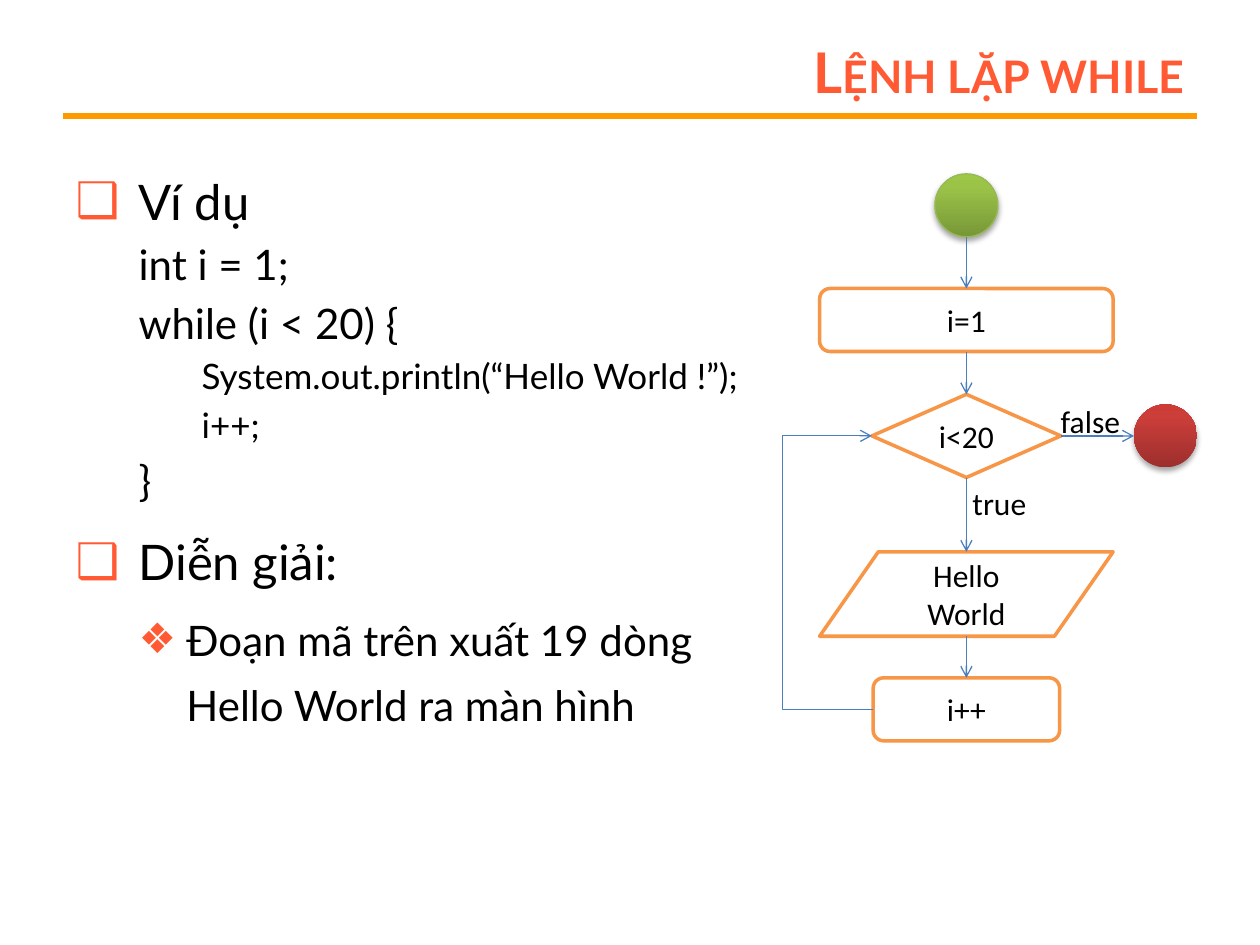
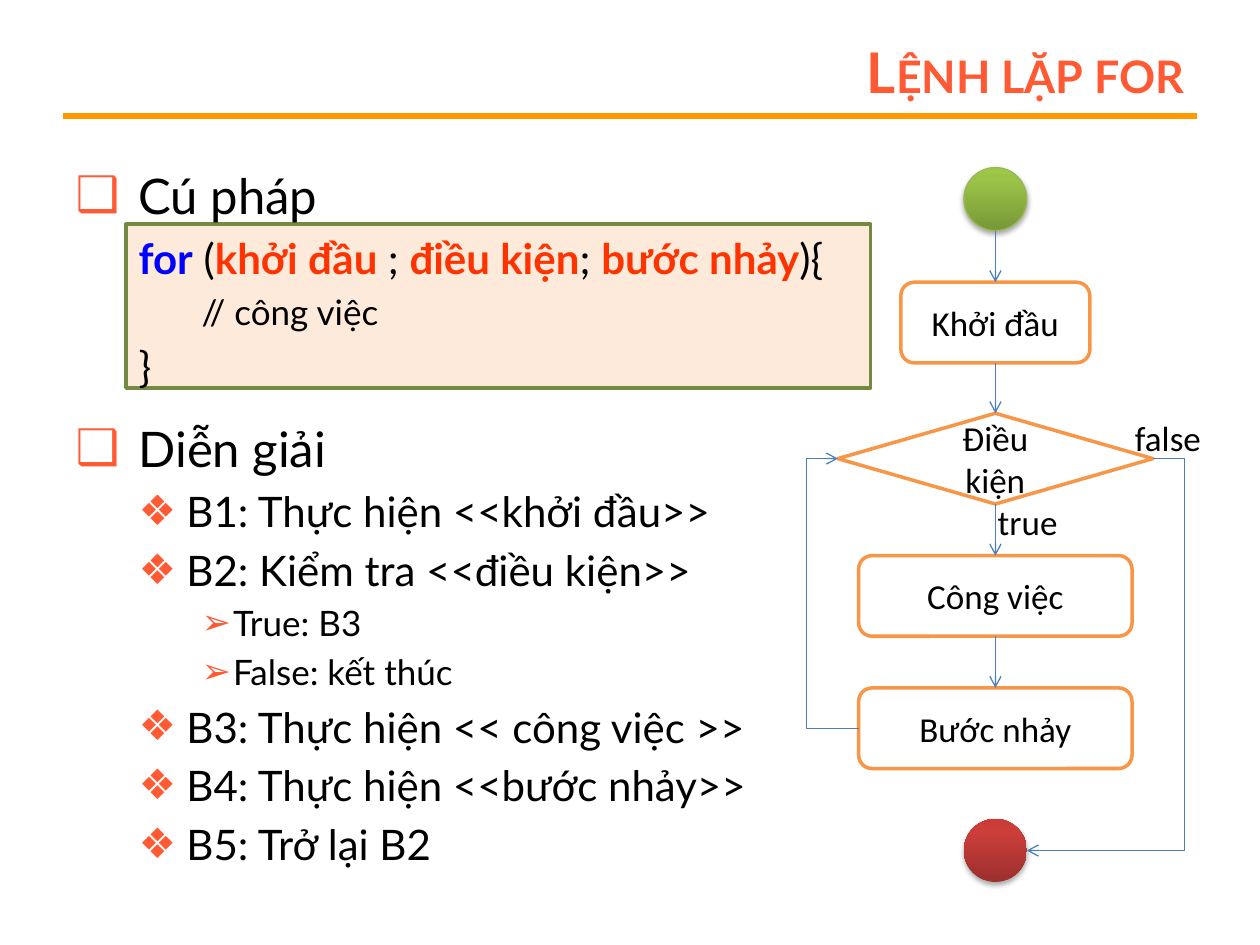
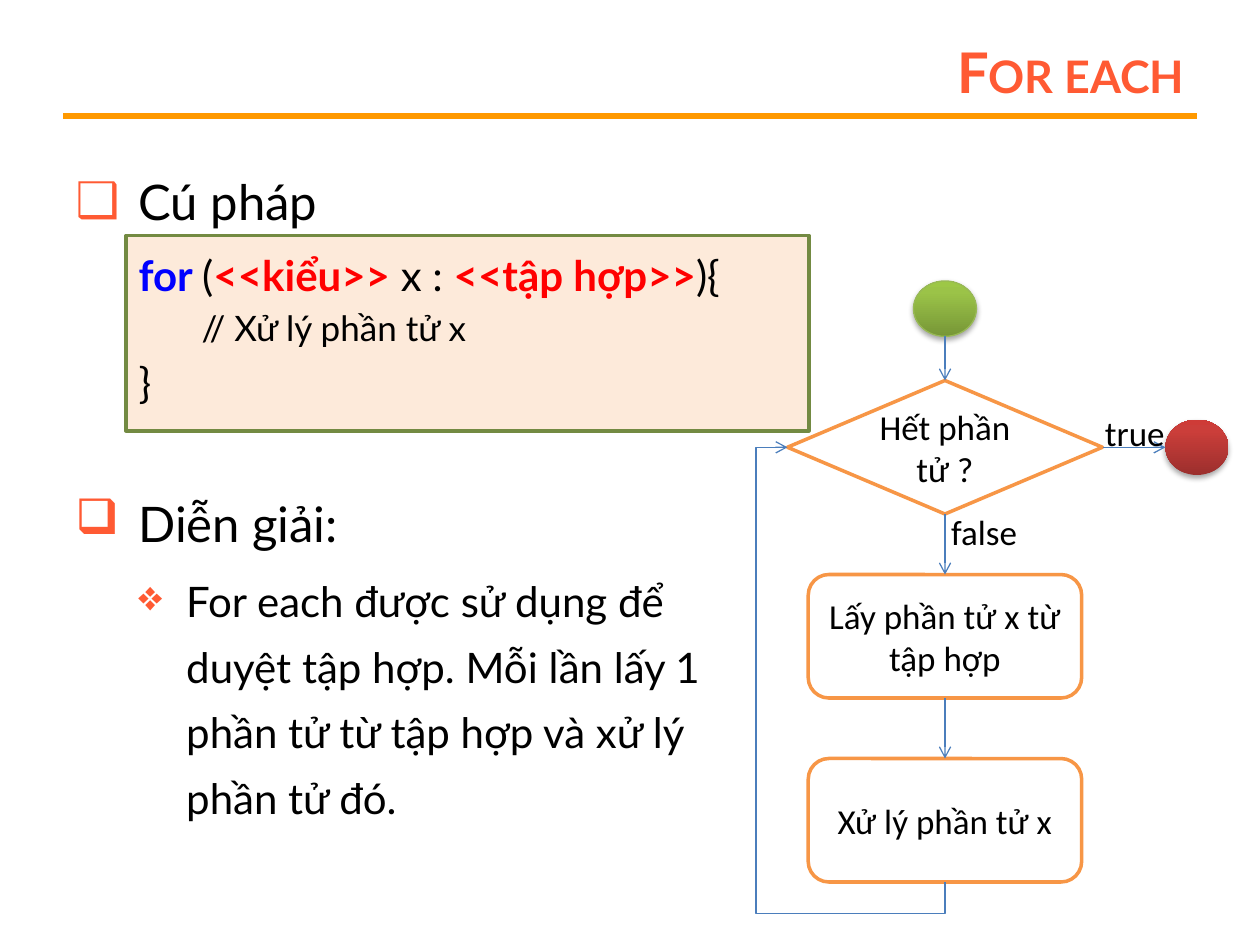
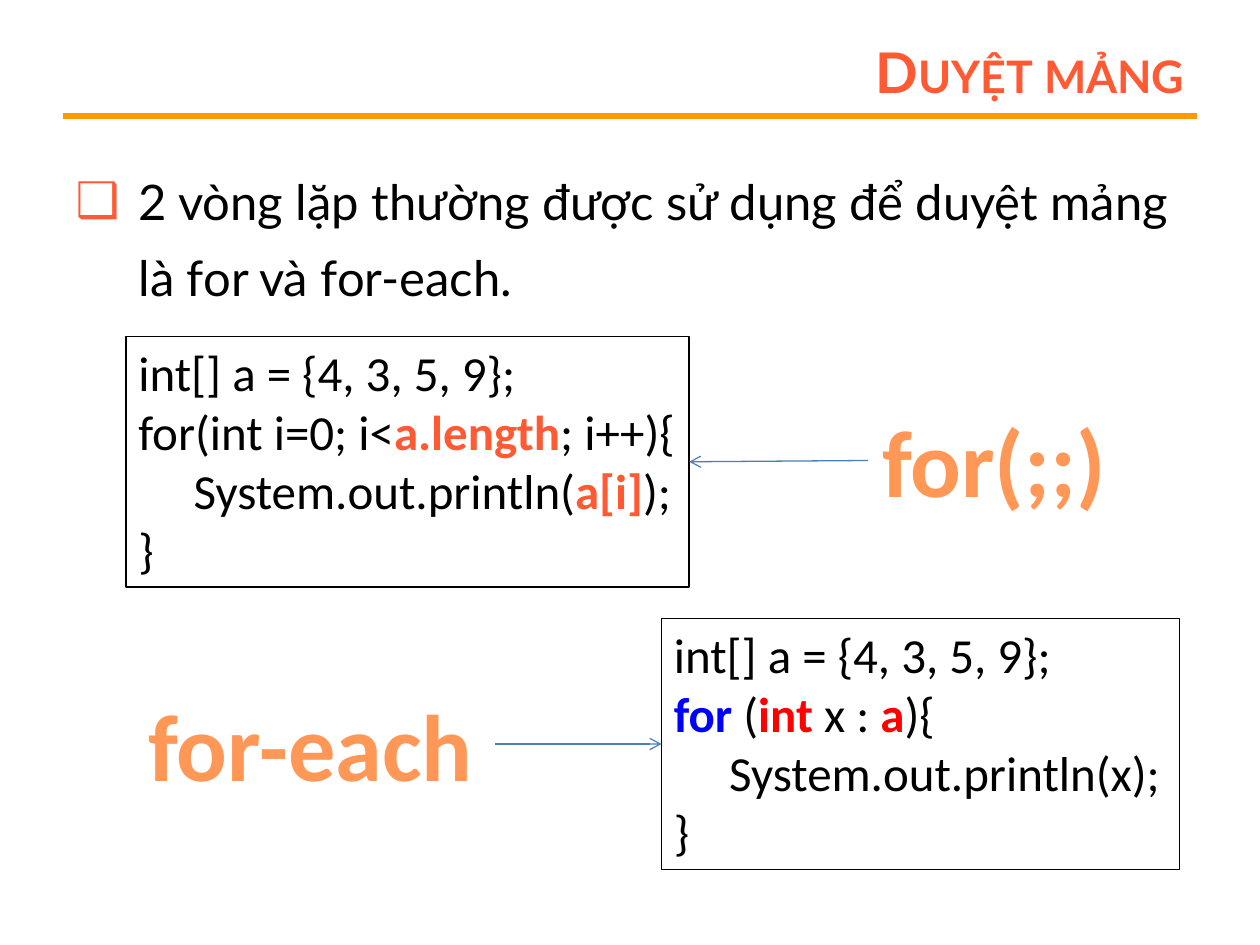
from lxml import etree
from pptx import Presentation
from pptx import util as u
from pptx.dml.color import RGBColor
from pptx.enum import shapes, text
from pptx.oxml.ns import qn

BLACK, WHITE = "000000", "FFFFFF"
CORAL, AMBER, ORANGE = "FF5A33", "FF9900", "F79646"
ARROW_BLUE, KEYWORD, RED, VERMILION = "4B7EBC", "0000FF", "FF0000", "FF3300"
PANEL_FILL, PANEL_LINE = "FDEADA", "738A42"
GREEN_BALL = [(0, "779737"), (80, "9BC348"), (100, "9DC746")]
RED_BALL = [(0, "9C2F2D"), (80, "CB3E3A"), (100, "CE3B37")]
CAPTION_BLEND = [(0, "9D4700"), (78, "FF9856"), (100, "FFF5F1")]

SHAPE = shapes.MSO_SHAPE
BOX, DIAMOND, DATA = SHAPE.ROUNDED_RECTANGLE, SHAPE.FLOWCHART_DECISION, SHAPE.FLOWCHART_DATA
TOP, LEFT, BOTTOM, RIGHT = range(4)

# Paragraph styles: level, size, left margin, first-line indent, bullet
STYLES = {
    "topic": (0, 28, 0.5, -0.5, "❑"),
    "code": (1, 24, 0.5, 0, None),
    "inner": (2, 20, 1, 0, None),
    "step": (1, 24, 0.88, -0.38, "❖"),
    "branch": (2, 20, 1.25, -0.25, "➢"),
}


def rgb(value):
    return RGBColor.from_string(value)


def place(item, left, top, width, height):
    item.left, item.top = u.Inches(left), u.Inches(top)
    item.width, item.height = u.Inches(width), u.Inches(height)


def child(parent, tag, **attributes):
    return etree.SubElement(parent, qn(tag), attributes)


def gradient(stops, angle):
    fill = etree.Element(qn("a:gradFill"))
    stop_list = child(fill, "a:gsLst")
    for position, colour in stops:
        stop = child(stop_list, "a:gs", pos=str(position * 1000))
        child(stop, "a:srgbClr", val=colour)
    child(fill, "a:lin", ang=str(angle * 60000), scaled="0")
    return fill


# Text
def add_span(para, words, size, colour=BLACK, bold=False, font="Lato"):
    span = para.add_run()
    span.text = words
    span.font.name, span.font.size, span.font.bold = font, u.Pt(size), bold
    span.font.color.rgb = rgb(colour)
    return span


def add_spans(para, spans, size, font="Lato"):
    """Write plain strings in black and (words, colour) pairs in bold colour."""
    for span in [spans] if isinstance(spans, str) else spans:
        if isinstance(span, str):
            add_span(para, span, size, font=font)
        else:
            add_span(para, span[0], size, span[1], True, font)


def add_item(frame, style, spans, spacing=1.0, after=0):
    level, size, margin, indent, bullet = STYLES[style]
    first = not frame.paragraphs[0].runs
    para = frame.paragraphs[0] if first else frame.add_paragraph()
    para.level, para.line_spacing = level, spacing
    para.space_before = u.Pt(0 if first else size * 0.2)
    para.space_after = u.Pt(after)
    props = para._p.get_or_add_pPr()
    props.set("marL", str(u.Inches(margin)))
    props.set("indent", str(u.Inches(indent)))
    if bullet:
        child(child(props, "a:buClr"), "a:srgbClr", val=CORAL)
        child(props, "a:buChar", char=bullet)
    else:
        child(props, "a:buNone")
    add_spans(para, spans, size)


def add_label(page, words, left, top, width, height, size):
    label = page.shapes.add_textbox(*map(u.Inches, (left, top, width, height)))
    label.text_frame.word_wrap = False
    label.text_frame.auto_size = text.MSO_AUTO_SIZE.SHAPE_TO_FIT_TEXT
    add_span(label.text_frame.paragraphs[0], words, size, font="Calibri")
    return label


def add_caption(page, words, left, top, width):
    caption = add_label(page, words, left, top, width, 1.01, 54)
    para = caption.text_frame.paragraphs[0]
    para.alignment = text.PP_ALIGN.CENTER
    span = para.runs[0]
    span.font.bold = True
    span.font.fill.background()
    props = span.font._element
    props.replace(props.find(qn("a:noFill")), gradient(CAPTION_BLEND, 90))
    return caption


# Shapes
def add_box(page, kind, left, top, width, height, fill, line, weight):
    box = page.shapes.add_shape(kind, *map(u.Inches, (left, top, width, height)))
    box.shadow.inherit = False
    if fill:
        box.fill.solid()
        box.fill.fore_color.rgb = rgb(fill)
    else:
        box.fill.background()
    box.line.color.rgb = rgb(line)
    box.line.width = u.Pt(weight)
    return box


def add_node(page, kind, centre, top, width, height, words, size):
    node = add_box(page, kind, centre - width / 2, top, width, height, WHITE, ORANGE, 2)
    para = node.text_frame.paragraphs[0]
    para.alignment = text.PP_ALIGN.CENTER
    add_span(para, words, size, font="Calibri")
    return node


def add_ball(page, stops, centre, top, height=0.5, outline=None):
    ball = page.shapes.add_shape(
        SHAPE.OVAL, *map(u.Inches, (centre - 0.25, top, 0.5, height)))
    ball.shadow.inherit = False
    if outline:
        ball.line.color.rgb = rgb(outline)
        ball.line.width = u.Pt(0.75)
    else:
        ball.line.fill.background()
    props = ball.element.spPr
    props.find(qn("a:prstGeom")).addnext(gradient(stops, 270))
    shadow = child(props.find(qn("a:effectLst")), "a:outerShdw", blurRad="40000",
                   dist="23000", dir="5400000", rotWithShape="0")
    child(child(shadow, "a:srgbClr", val=BLACK), "a:alpha", val="35000")
    return ball


def add_start(page, centre, top, height=0.5):
    return add_ball(page, GREEN_BALL, centre, top, height, "98B955")


def add_end(page, centre, top, height=0.5):
    return add_ball(page, RED_BALL, centre, top, height)


def add_panel(page, top, width, height):
    """Tinted code panel, kept behind the list."""
    panel = add_box(page, SHAPE.RECTANGLE, 1, top, width, height, PANEL_FILL, PANEL_LINE, 2)
    page.shapes.element.insert(2, panel.element)


def add_listing(page, left, top, width, fill, lines):
    listing = add_box(page, SHAPE.RECTANGLE, left, top, width, 1.99, fill, BLACK, 0.75)
    frame = listing.text_frame
    frame.word_wrap = False
    frame.auto_size = text.MSO_AUTO_SIZE.SHAPE_TO_FIT_TEXT
    frame.vertical_anchor = text.MSO_ANCHOR.TOP
    for number, spans in enumerate(lines):
        para = frame.add_paragraph() if number else frame.paragraphs[0]
        para.alignment = text.PP_ALIGN.LEFT
        add_spans(para, spans, 28, "Calibri")
    return listing


# Connectors
def side_point(box, side):
    return (int(box.left + box.width * (0.5, 0, 0.5, 1)[side]),
            int(box.top + box.height * (0, 0.5, 1, 0.5)[side]))


def join(line, is_start, box, side):
    kind = None if box.shape_type == shapes.MSO_SHAPE_TYPE.TEXT_BOX else box.auto_shape_type
    if kind == SHAPE.OVAL:  # an oval has eight sites, two per side
        child(line.element.nvCxnSpPr.cNvCxnSpPr, "a:stCxn" if is_start else "a:endCxn",
              id=str(box.shape_id), idx=str(side * 2))
    elif kind != DATA:
        (line.begin_connect if is_start else line.end_connect)(box, side)


def style_line(line, colour, weight):
    line.line.color.rgb = rgb(colour)
    line.line.width = u.Pt(weight)
    child(line.element.spPr, "a:effectLst")


def add_arrow(page, start, end, kind=shapes.MSO_CONNECTOR.STRAIGHT):
    """Join (box, side) to (box, side)."""
    line = page.shapes.add_connector(kind, *side_point(*start), *side_point(*end))
    join(line, True, *start)
    join(line, False, *end)
    style_line(line, ARROW_BLUE, 0.75)
    child(line.element.spPr.find(qn("a:ln")), "a:tailEnd", type="arrow")
    return line


def set_bends(line, *bends):
    guides = line.element.spPr.find(qn("a:prstGeom")).find(qn("a:avLst"))
    for number, bend in enumerate(bends, 1):
        child(guides, "a:gd", name=f"adj{number}", fmla=f"val {round(bend * 100000)}")


def add_elbow(page, start, end, via):
    """Three-part arrow whose middle part runs at x = via."""
    line = add_arrow(page, start, end, shapes.MSO_CONNECTOR.ELBOW)
    set_bends(line, (u.Inches(via) - line.begin_x) / (line.end_x - line.begin_x))


def add_loop_back(page, start, end, drop):
    """Four-part arrow: down from the start, left, up, and right into the end."""
    line = add_arrow(page, start, end, shapes.MSO_CONNECTOR.ELBOW)
    across, rise = line.width, line.height
    centre_x, centre_y = line.left + across // 2, line.top + rise // 2
    line.left, line.top = centre_x - rise // 2, centre_y - across // 2
    line.width, line.height = rise, across
    frame = line.element.spPr.find(qn("a:xfrm"))
    for name, value in (("rot", "5400000"), ("flipH", "1"), ("flipV", "0")):
        frame.set(name, value)
    line.element.spPr.find(qn("a:prstGeom")).set("prst", "bentConnector4")
    set_bends(line, -u.Inches(drop) / rise, 1 + u.Inches(drop) / across)


def add_chain(page, *nodes):
    for upper, lower in zip(nodes, nodes[1:]):
        add_arrow(page, (upper, BOTTOM), (lower, TOP))


# Pages
def add_page(deck, heading, *body_place):
    page = deck.slides.add_slide(deck.slide_layouts[1])
    title, body = page.placeholders
    place(title, 2.25, 0.3, 7.25, 0.53)
    place(body, *body_place)
    for holder in (title, body):
        holder.text_frame.auto_size = text.MSO_AUTO_SIZE.NONE
    title.text_frame.vertical_anchor = text.MSO_ANCHOR.MIDDLE
    para = title.text_frame.paragraphs[0]
    para.alignment = text.PP_ALIGN.RIGHT
    span = add_span(para, heading, 32, CORAL, True)
    span.font._element.set("cap", "small")
    return page, body.text_frame


def add_master_rule(deck, page):
    """Draw the rule under the title and hand it to the slide master."""
    rule = page.shapes.add_connector(
        shapes.MSO_CONNECTOR.STRAIGHT, *map(u.Inches, (0.5, 0.92, 9.5, 0.92)))
    style_line(rule, AMBER, 3)
    rule.element.nvCxnSpPr.cNvPr.set("id", "20")
    deck.slide_master.shapes.element.append(rule.element)


def build_while(deck):
    page, body = add_page(deck, "Lệnh lặp while", 0.5, 1.17, 5.92, 5.75)
    add_master_rule(deck, page)
    add_item(body, "topic", "Ví dụ", 1.3)
    add_item(body, "code", "int i = 1;")
    add_item(body, "code", "while (i < 20) {")
    add_item(body, "inner", "System.out.println(“Hello World !”);")
    add_item(body, "inner", "i++;")
    add_item(body, "code", "}")
    add_item(body, "topic", "Diễn giải:", 1.3)
    add_item(body, "step", "Đoạn mã trên xuất 19 dòng Hello World ra màn hình", 1.3)

    axis = 7.67
    start = add_start(page, axis, 1.38)
    end = add_end(page, 9.25, 3.21)
    setup = add_node(page, BOX, axis, 2.29, 2.33, 0.5, "i=1", 18)
    test = add_node(page, DIAMOND, axis, 3.13, 1.5, 0.66, "i<20", 18)
    output = add_node(page, DATA, axis, 4.38, 2.33, 0.67, "Hello World", 18)
    step = add_node(page, BOX, axis, 5.38, 1.48, 0.5, "i++", 18)
    add_chain(page, start, setup, test, output, step)
    add_arrow(page, (test, RIGHT), (end, LEFT))
    add_elbow(page, (step, LEFT), (test, LEFT), 6.2)
    add_label(page, "true", 7.62, 3.79, 0.63, 0.4, 18)
    add_label(page, "false", 8.32, 3.14, 0.68, 0.4, 18)


def build_for(deck):
    page, body = add_page(deck, "Lệnh lặp for", 0.5, 1.17, 9, 6)
    add_panel(page, 1.78, 5.91, 1.3)
    add_item(body, "topic", "Cú pháp", 1.2)
    add_item(body, "code", [
        ("for", KEYWORD), " (", ("khởi đầu ", VERMILION), "; ", ("điều kiện", VERMILION),
        "; ", ("bước nhảy", VERMILION), "){"])
    add_item(body, "inner", "// công việc")
    add_item(body, "code", "}")
    add_item(body, "topic", "Diễn giải", 1.3)
    add_item(body, "step", "B1: Thực hiện <<khởi đầu>>")
    add_item(body, "step", "B2: Kiểm tra <<điều kiện>>")
    add_item(body, "branch", "True: B3")
    add_item(body, "branch", "False: kết thúc")
    add_item(body, "step", "B3: Thực hiện << công việc >>")
    add_item(body, "step", "B4: Thực hiện <<bước nhảy>>")
    add_item(body, "step", "B5: Trở lại B2")

    axis = 7.9
    start = add_start(page, axis, 1.33)
    end = add_end(page, axis, 6.5)
    setup = add_node(page, BOX, axis, 2.24, 1.5, 0.64, "Khởi đầu", 20)
    test = add_node(page, DIAMOND, axis, 3.28, 2.5, 0.72, "Điều kiện", 20)
    work = add_node(page, BOX, axis, 4.41, 2.17, 0.64, "Công việc", 20)
    step = add_node(page, BOX, axis, 5.46, 2.17, 0.64, "Bước nhảy", 20)
    add_chain(page, start, setup, test, work, step)
    add_elbow(page, (test, RIGHT), (end, RIGHT), 9.4)
    add_elbow(page, (step, LEFT), (test, LEFT), 6.4)
    add_label(page, "true", 7.82, 3.92, 0.68, 0.44, 20)
    add_label(page, "false", 8.91, 3.26, 0.73, 0.44, 20)


def build_for_each(deck):
    page, body = add_page(deck, "For each", 0.5, 1.17, 6, 2.38)
    add_panel(page, 1.87, 5.42, 1.55)
    add_item(body, "topic", "Cú pháp", 1.3, after=6)
    add_item(body, "code", [
        ("for ", KEYWORD), "(", ("<<kiểu>>", RED), " x : ", ("<<tập hợp>>", RED), "){"])
    add_item(body, "inner", "// Xử lý phần tử x")
    add_item(body, "code", "}")

    axis = 7.5
    start = add_start(page, axis, 2.23, 0.44)
    end = add_end(page, 9.5, 3.33, 0.44)
    test = add_node(page, DIAMOND, axis, 3.02, 2.5, 1.06, "Hết phần tử ?", 20)
    fetch = add_node(page, BOX, axis, 4.56, 2.17, 0.98, "Lấy phần tử x từ tập hợp", 20)
    work = add_node(page, BOX, axis, 6.02, 2.17, 0.98, "Xử lý phần tử x", 20)
    add_chain(page, start, test, fetch, work)
    add_arrow(page, (test, RIGHT), (end, LEFT))
    add_loop_back(page, (work, BOTTOM), (test, LEFT), 0.25)
    add_label(page, "false", 7.45, 4, 0.73, 0.44, 20)
    add_label(page, "true", 8.67, 3.22, 0.68, 0.44, 20)

    notes = page.shapes.add_textbox(*map(u.Inches, (0.5, 3.68, 5.17, 2.99))).text_frame
    notes.word_wrap = True
    add_item(notes, "topic", "Diễn giải:", 1.4)
    add_item(notes, "step", "For each được sử dụng để duyệt tập hợp. Mỗi lần lấy 1 "
             "phần tử từ tập hợp và xử lý phần tử đó.", 1.3)


def build_arrays(deck):
    page, body = add_page(deck, "Duyệt mảng", 0.5, 1.17, 9, 1.17)
    add_item(body, "topic",
             "2 vòng lặp thường được sử dụng để duyệt mảng là for và for-each.", 1.3)
    declaration = "int[] a = {4, 3, 5, 9};"
    indexed = add_listing(page, 1, 2.67, 4.47, None, [
        declaration,
        ["for(int i=0; i<", ("a.length", CORAL), "; i++){"],
        ["     System.out.println(", ("a[i]", CORAL), ");"],
        "}"])
    each = add_listing(page, 5.25, 4.91, 4.11, WHITE, [
        declaration,
        [("for", KEYWORD), " (", ("int ", RED), "x : ", ("a", RED), "){"],
        "     System.out.println(x);",
        "}"])
    each_caption = add_caption(page, "for-each", 1, 5.4, 2.93)
    indexed_caption = add_caption(page, "for(;;)", 6.89, 3.15, 2)
    add_arrow(page, (indexed_caption, LEFT), (indexed, RIGHT))
    add_arrow(page, (each_caption, RIGHT), (each, LEFT))


def main():
    deck = Presentation()
    deck.slide_width, deck.slide_height = u.Inches(10), u.Inches(7.5)
    build_while(deck)
    build_for(deck)
    build_for_each(deck)
    build_arrays(deck)
    deck.save("out.pptx")


if __name__ == "__main__":
    main()
